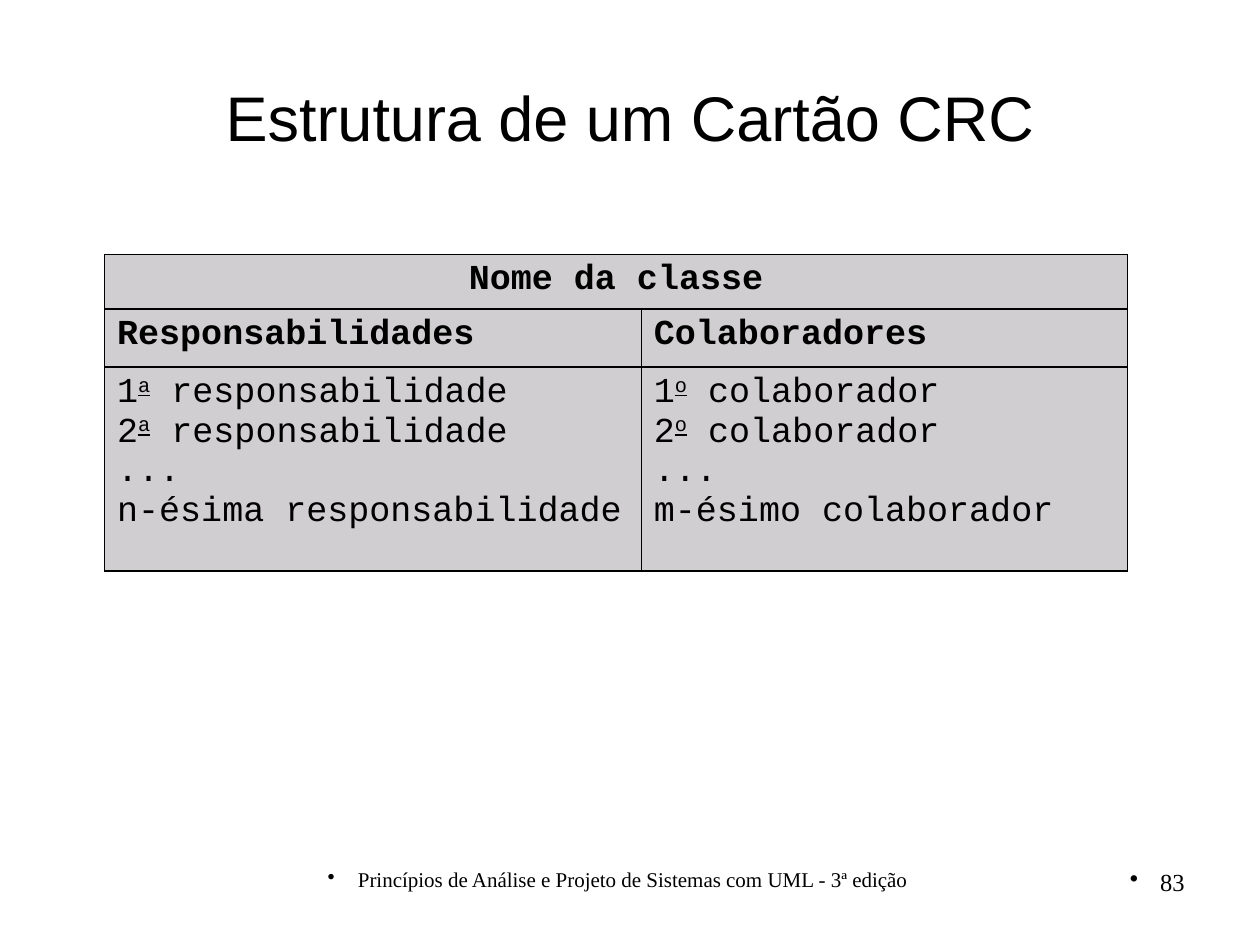
from lxml import etree
from pptx import Presentation
from pptx.dml.color import RGBColor
from pptx.enum import text
from pptx.oxml import ns
from pptx.util import Emu, Inches, Pt

BLACK = RGBColor(0x00, 0x00, 0x00)
CARD_GREY = RGBColor(0xD0, 0xCE, 0xD0)
CARD_FONT = dict(name="Courier New", size=Pt(20))
LEFT, CENTER, RIGHT = (text.PP_ALIGN.LEFT, text.PP_ALIGN.CENTER, text.PP_ALIGN.RIGHT)


def set_attrs(obj, values):
    for name, value in values.items():
        setattr(obj, name, value)


def add_run(p, content, **font):
    r = p.add_run()
    r.text = content
    set_attrs(r.font, font)
    r.font.color.rgb = BLACK
    return r


def hang(p, indent):
    pPr = p._p.get_or_add_pPr()
    pPr.set("marL", str(Inches(indent)))
    pPr.set("indent", str(-Inches(indent)))
    return pPr


def add_title(s, content):
    title = s.shapes.title
    set_attrs(title, dict(left=Inches(0.5), top=Inches(0.3),
                          width=Inches(9), height=Inches(1.25)))
    tf = title.text_frame
    tf.vertical_anchor = text.MSO_ANCHOR.MIDDLE
    p = tf.paragraphs[0]
    p.alignment = CENTER
    add_run(p, content, name="Arial", size=Pt(36))


def add_footer(s, content, left, width, size, align, margin_right=0.1):
    """Add a bulleted line at the foot of the slide."""
    sp = s.shapes.add_textbox(Inches(left), Inches(6.83), Inches(width), Inches(0.52))
    tf = sp.text_frame
    set_attrs(tf, dict(word_wrap=True, margin_right=Inches(margin_right)))
    p = tf.paragraphs[0]
    p.alignment = align
    pPr = hang(p, 0.24)
    etree.SubElement(pPr, ns.qn("a:buChar")).set("char", "•")
    add_run(p, content, name="Times New Roman", size=Pt(size))


def set_borders(cell):
    tcPr = cell._tc.get_or_add_tcPr()
    for i, side in enumerate(("lnL", "lnR", "lnT", "lnB")):
        ln = etree.Element(ns.qn(f"a:{side}"), w=str(Pt(1)))
        fill = etree.SubElement(ln, ns.qn("a:solidFill"))
        etree.SubElement(fill, ns.qn("a:srgbClr")).set("val", str(BLACK))
        tcPr.insert(i, ln)


def fill_cell(cell, lines, bold=False, align=LEFT):
    """Write lines; a tuple is a number, its raised ordinal and the rest."""
    tf = cell.text_frame
    for i, line in enumerate(lines):
        p = tf.add_paragraph() if i else tf.paragraphs[0]
        p.alignment = align
        hang(p, 0.38)
        if isinstance(line, str):
            add_run(p, line, bold=bold, **CARD_FONT)
            continue
        number, ordinal, rest = line
        add_run(p, number, bold=bold, **CARD_FONT)
        r = add_run(p, ordinal, bold=bold, underline=True, **CARD_FONT)
        r.font._element.set("baseline", "30000")
        add_run(p, rest, bold=bold, **CARD_FONT)


def entries(ordinal, noun, last):
    numbered = [(number, ordinal, f" {noun}") for number in "12"]
    return numbered + ["...", f"{last} {noun}"]


def add_crc_card(s):
    widths, heights = (4.26, 3.86), (0.43, 0.46, 1.62)
    frame = s.shapes.add_table(3, 2, Inches(0.83), Inches(2.02),
                               Inches(sum(widths)), Inches(sum(heights)))
    table = frame.table
    set_attrs(table, dict(first_row=False, horz_banding=False))
    for column, width in zip(table.columns, widths):
        column.width = Inches(width)
    for row, height in zip(table.rows, heights):
        row.height = Inches(height)
    for cell in table.iter_cells():
        cell.fill.solid()
        cell.fill.fore_color.rgb = CARD_GREY
        set_borders(cell)
    table.cell(0, 0).merge(table.cell(0, 1))
    fill_cell(table.cell(0, 0), ["Nome da classe"], bold=True, align=CENTER)
    columns = (
        ("Responsabilidades", entries("a", "responsabilidade", "n-ésima")),
        ("Colaboradores", entries("o", "colaborador", "m-ésimo")),
    )
    for i, (heading, lines) in enumerate(columns):
        fill_cell(table.cell(1, i), [heading], bold=True)
        fill_cell(table.cell(2, i), lines)


def main():
    prs = Presentation()
    set_attrs(prs, dict(slide_width=Inches(10), slide_height=Inches(7.5)))
    s = prs.slides.add_slide(prs.slide_layouts[5])
    add_footer(s, "Princípios de Análise e Projeto de Sistemas com UML - 3ª edição",
               1.92, 6.17, 12, CENTER, margin_right=0.3)
    add_footer(s, "83", 8.17, 1.33, 14, RIGHT)
    add_title(s, "Estrutura de um Cartão CRC")
    add_crc_card(s)
    prs.save("out.pptx")


if __name__ == "__main__":
    main()
